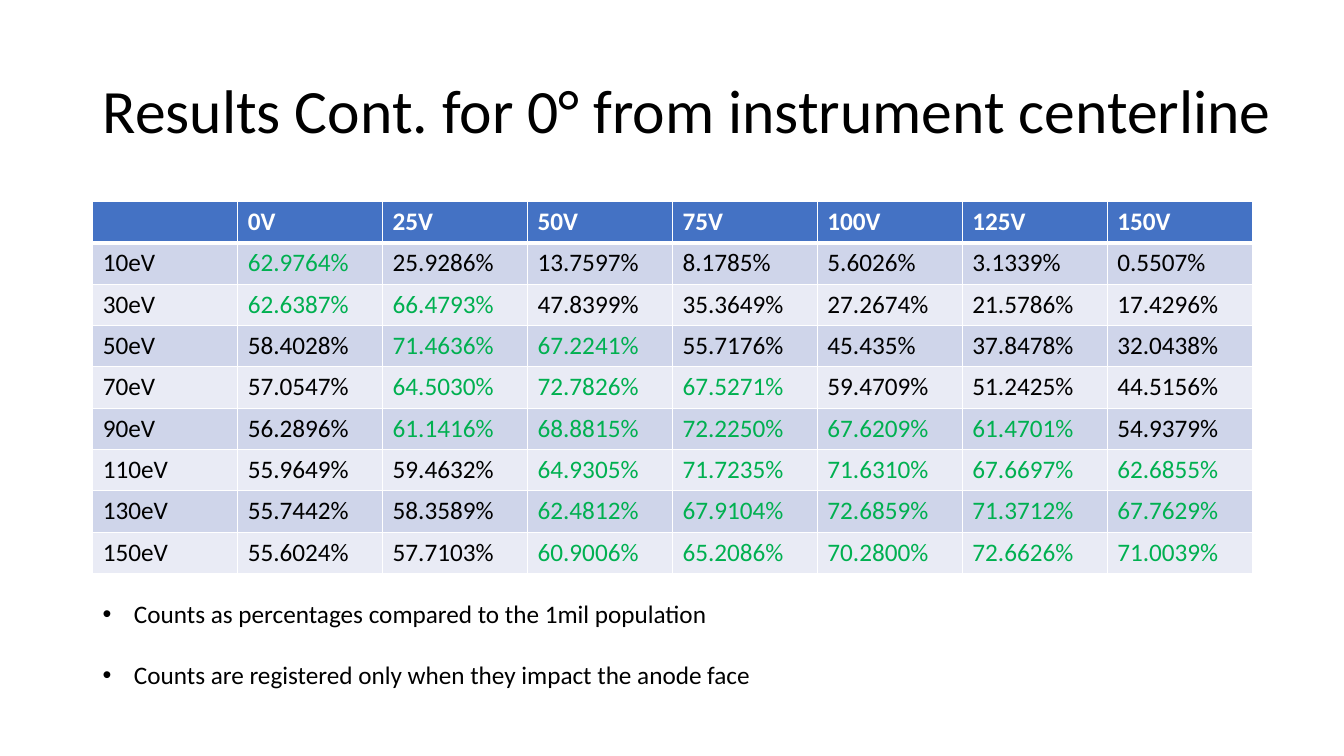
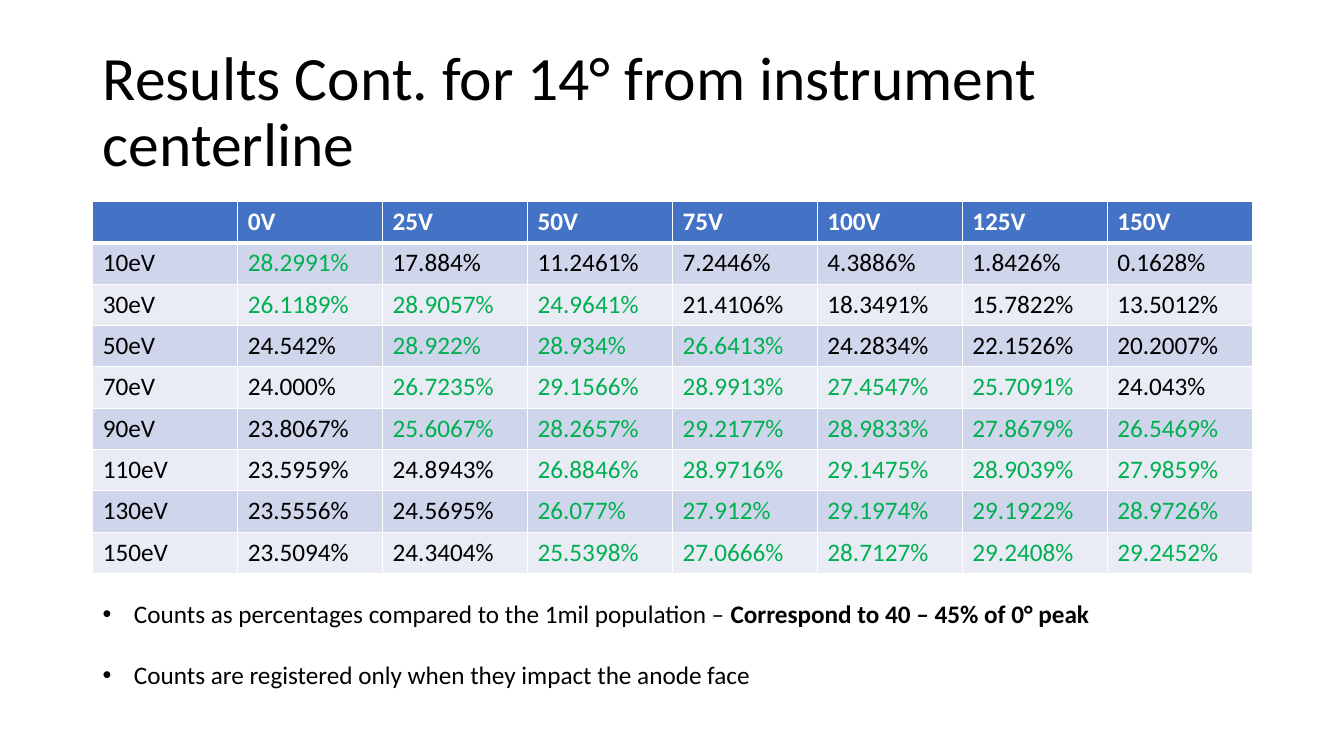
from dataclasses import dataclass

from lxml.etree import SubElement
from pptx import Presentation
from pptx.dml.color import RGBColor
from pptx.enum.text import MSO_ANCHOR
from pptx.oxml.ns import qn
from pptx.util import Inches, Pt

COLORS = {
    "text": "000000",
    "header": "4472C4",
    "header_text": "FFFFFF",
    "band_dark": "CFD5EA",
    "band_light": "E9EBF5",
    "border": "FFFFFF",
    "highlight": "00B050",
}
FONT = "Calibri"
LEFT = 0.92
TABLE_WIDTH, ROW_HEIGHT = 11.5, 0.41
BODY_SIZE = 18
BULLET_INDENT = 0.31

VOLTAGES = ["0V", "25V", "50V", "75V", "100V", "125V", "150V"]
ENERGIES = ["10eV", "30eV", "50eV", "70eV", "90eV", "110eV", "130eV", "150eV"]


@dataclass
class Bullet:
    text: str
    bold_ending: str = ""


@dataclass
class ResultSlide:
    title: str
    highlight_from: float  # percentages from here up are green
    rows: list[str]  # one row per energy, one percentage per voltage
    bullets: list[Bullet]
    bullets_width: float


ANODE_BULLET = Bullet("Counts are registered only when they impact the anode face")

RESULTS = [
    ResultSlide(
        "Results Cont. for 0° from instrument centerline",
        60,
        [
            "62.9764 25.9286 13.7597 8.1785 5.6026 3.1339 0.5507",
            "62.6387 66.4793 47.8399 35.3649 27.2674 21.5786 17.4296",
            "58.4028 71.4636 67.2241 55.7176 45.435 37.8478 32.0438",
            "57.0547 64.5030 72.7826 67.5271 59.4709 51.2425 44.5156",
            "56.2896 61.1416 68.8815 72.2250 67.6209 61.4701 54.9379",
            "55.9649 59.4632 64.9305 71.7235 71.6310 67.6697 62.6855",
            "55.7442 58.3589 62.4812 67.9104 72.6859 71.3712 67.7629",
            "55.6024 57.7103 60.9006 65.2086 70.2800 72.6626 71.0039",
        ],
        [Bullet("Counts as percentages compared to the 1mil population"), ANODE_BULLET],
        6.71,
    ),
    ResultSlide(
        "Results Cont. for 14° from instrument centerline",
        24.9,
        [
            "28.2991 17.884 11.2461 7.2446 4.3886 1.8426 0.1628",
            "26.1189 28.9057 24.9641 21.4106 18.3491 15.7822 13.5012",
            "24.542 28.922 28.934 26.6413 24.2834 22.1526 20.2007",
            "24.000 26.7235 29.1566 28.9913 27.4547 25.7091 24.043",
            "23.8067 25.6067 28.2657 29.2177 28.9833 27.8679 26.5469",
            "23.5959 24.8943 26.8846 28.9716 29.1475 28.9039 27.9859",
            "23.5556 24.5695 26.077 27.912 29.1974 29.1922 28.9726",
            "23.5094 24.3404 25.5398 27.0666 28.7127 29.2408 29.2452",
        ],
        [
            Bullet(
                "Counts as percentages compared to the 1mil population – ",
                "Correspond to 40 – 45% of 0° peak",
            ),
            ANODE_BULLET,
        ],
        10.29,
    ),
]


def format_run(run, size: float, color: str = "text", bold: bool = False) -> None:
    run.font.name = FONT
    run.font.size = Pt(size)
    run.font.bold = bold
    run.font.color.rgb = RGBColor.from_string(COLORS[color])


def add_text_frame(slide, top: float, width: float, height: float):
    shape = slide.shapes.add_textbox(
        Inches(LEFT), Inches(top), Inches(width), Inches(height)
    )
    shape.text_frame.word_wrap = True
    return shape.text_frame


def add_title(slide, title: str) -> None:
    text_frame = add_text_frame(slide, 0.4, 12, 1.45)
    text_frame.vertical_anchor = MSO_ANCHOR.MIDDLE
    text_frame.text = title
    paragraph = text_frame.paragraphs[0]
    paragraph.line_spacing = 0.9
    format_run(paragraph.runs[0], 44)


def set_borders(cell, top: float, bottom: float) -> None:
    properties = cell._tc.get_or_add_tcPr()
    widths = {"lnL": 1, "lnR": 1, "lnT": top, "lnB": bottom}
    for tag, width in widths.items():
        line = SubElement(properties, qn(f"a:{tag}"), w=str(Pt(width)))
        fill = SubElement(line, qn("a:solidFill"))
        SubElement(fill, qn("a:srgbClr"), val=COLORS["border"])


def fill_cell(cell, row: int, text: str, color: str) -> None:
    is_header = row == 0
    set_borders(cell, top=3 if row == 1 else 1, bottom=3 if is_header else 1)
    band = "header" if is_header else "band_dark" if row % 2 else "band_light"
    cell.fill.solid()
    cell.fill.fore_color.rgb = RGBColor.from_string(COLORS[band])
    cell.text_frame.text = text
    for run in cell.text_frame.paragraphs[0].runs:
        format_run(run, BODY_SIZE, color, is_header)


def add_results_table(slide, result: ResultSlide) -> None:
    row_count, column_count = len(ENERGIES) + 1, len(VOLTAGES) + 1
    table = slide.shapes.add_table(
        row_count, column_count, Inches(LEFT), Inches(2),
        Inches(TABLE_WIDTH), Inches(ROW_HEIGHT * row_count),
    ).table
    for column in table.columns:
        column.width = Inches(TABLE_WIDTH / column_count)
    for row in table.rows:
        row.height = Inches(ROW_HEIGHT)

    for column, text in enumerate(["", *VOLTAGES]):
        fill_cell(table.cell(0, column), 0, text, "header_text")
    for row, (energy, values) in enumerate(zip(ENERGIES, result.rows), start=1):
        fill_cell(table.cell(row, 0), row, energy, "text")
        for column, value in enumerate(values.split(), start=1):
            color = "highlight" if float(value) >= result.highlight_from else "text"
            fill_cell(table.cell(row, column), row, f"{value}%", color)


def set_bullet(paragraph) -> None:
    properties = paragraph._p.get_or_add_pPr()
    indent = Inches(BULLET_INDENT)
    properties.set("marL", str(indent))
    properties.set("indent", str(-indent))
    SubElement(properties, qn("a:buFont"), typeface="Arial")
    SubElement(properties, qn("a:buChar"), char="•")


def add_bullets(slide, bullets: list[Bullet], width: float) -> None:
    text_frame = add_text_frame(slide, 5.89, width, 1.01)
    for index, bullet in enumerate(bullets):
        paragraph = text_frame.add_paragraph() if index else text_frame.paragraphs[0]
        paragraph.text = bullet.text
        set_bullet(paragraph)
        if index:
            paragraph.space_before = Pt(22)
        format_run(paragraph.runs[0], BODY_SIZE)
        if bullet.bold_ending:
            run = paragraph.add_run()
            run.text = bullet.bold_ending
            format_run(run, BODY_SIZE, bold=True)


def main() -> None:
    presentation = Presentation()
    presentation.slide_width = Inches(13.33)
    presentation.slide_height = Inches(7.5)
    blank_layout = presentation.slide_layouts[6]
    for result in RESULTS:
        slide = presentation.slides.add_slide(blank_layout)
        add_title(slide, result.title)
        add_results_table(slide, result)
        add_bullets(slide, result.bullets, result.bullets_width)
    presentation.save("out.pptx")


if __name__ == "__main__":
    main()
